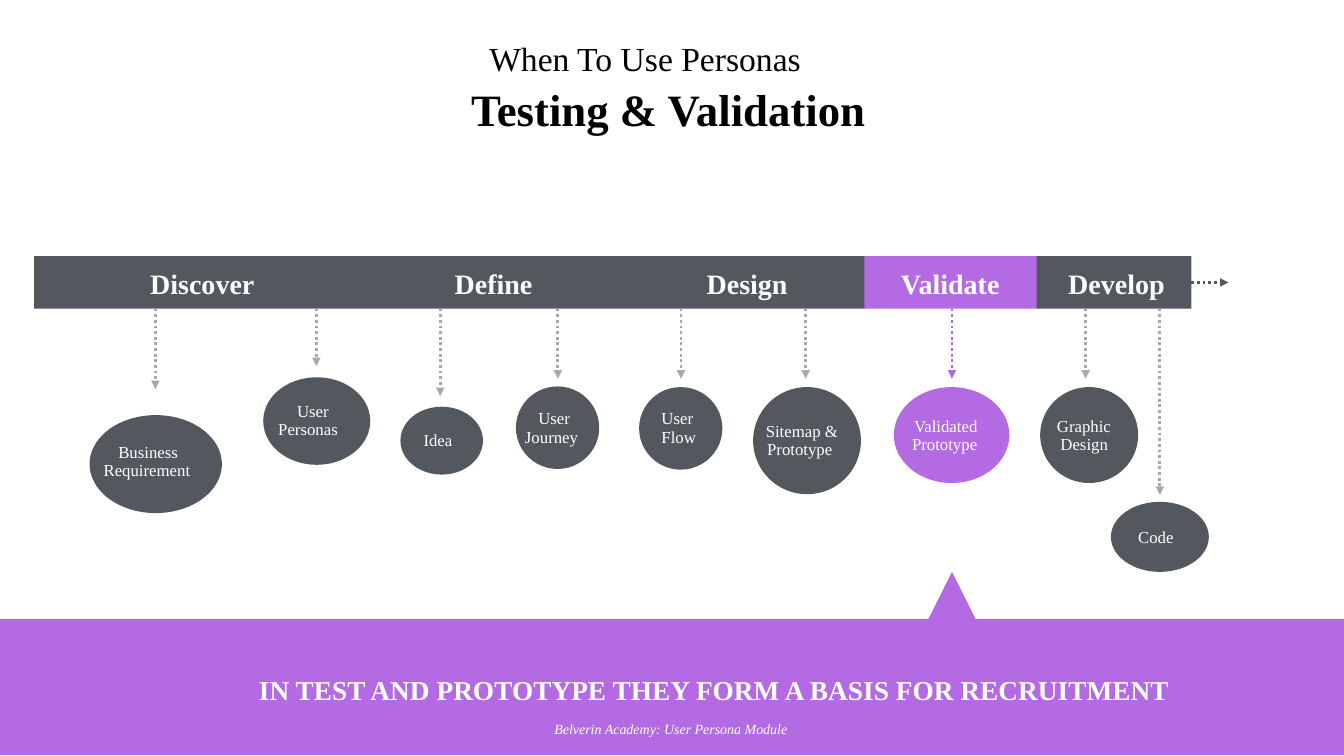
from pptx import Presentation
from pptx.dml.color import RGBColor
from pptx.enum.dml import MSO_LINE
from pptx.enum.shapes import MSO_CONNECTOR, MSO_SHAPE
from pptx.oxml.ns import qn
from pptx.util import Pt
from lxml import etree

SLATE, PURPLE, GREY = "53585F", "B36AE2", "A7AAA9"
WHITE, BLACK = "FFFFFF", "000000"
FONT = "Times New Roman"

BAR_TOP, BAR_H = 183, 37.5
STAGES = [
    ("Discover", 24.5, 230, SLATE, 107.25, 76),
    ("Define", 254, 191, SLATE, 324.75, 57),
    ("Design", 445, 173, SLATE, 504.75, 59),
    ("Validate", 617.5, 125, PURPLE, 643.5, 72),
    ("Develop", 740.5, 110.5, SLATE, 763, 71),
]

# lines (text, indent), oval (left, top, width, height), text (left, top, width), arrow (x, tip y)
STEPS = [
    ([("Business", 10.5), ("Requirement", 0)], (64, 296.5, 94.5, 70), (74, 316, 65), (111, 278)),
    ([("User", 13.5), ("Personas", 0)], (188, 269.5, 76.5, 62.5), (198.75, 286.5, 45), (226, 261.5)),
    ([("Idea", 0)], (286, 290.5, 59, 48.5), (302.5, 307.5, 23), (314.5, 283)),
    ([("User", 9.5), ("Journey", 0)], (368.5, 276, 59.5, 59), (375, 292, 40), (398.5, 270.5)),
    ([("User", 0), ("Flow", 0)], (456.5, 276.5, 59.5, 59), (472.5, 292, 27), (486.5, 270.5)),
    ([("Sitemap &", 0), ("Prototype", 1)], (538, 276.5, 77, 76.5), (547, 301, 55), (575.5, 270.5)),
    ([("Validated", 1.5), ("Prototype", 0)], (638.5, 276.5, 82.5, 68.5), (651.5, 297.5, 50), (680, 270.5)),
    ([("Graphic", 0), ("Design", 2.5)], (743, 276.5, 70, 68.5), (755, 297.5, 42), (775.5, 270.5)),
    ([("Code", 0)], (793.5, 358.5, 70, 50), (813, 376.5, 28), (828.5, 353.5)),
]
HIGHLIGHT = "Validated"

TITLE = [
    dict(text="When To Use Personas", size=24, spacing=29, color=BLACK, indent=13),
    dict(text="Testing & Validation", size=32, spacing=41, color=BLACK, bold=True),
]
FOOTER = [
    dict(text="IN TEST AND PROTOTYPE THEY FORM A BASIS FOR RECRUITMENT",
         size=19.5, spacing=23.5, bold=True),
    dict(text="Belverin Academy: User Persona Module",
         size=10, spacing=12.5, italic=True, indent=211, before=10),
]

prs = Presentation()
prs.slide_width, prs.slide_height = Pt(960), Pt(540)
s = prs.slides.add_slide(prs.slide_layouts[6])


def rgb(value):
    return RGBColor.from_string(value)


def add_block(kind, left, top, width, height, fill):
    sp = s.shapes.add_shape(kind, Pt(left), Pt(top), Pt(width), Pt(height))
    sp.shadow.inherit = False
    sp.fill.solid()
    sp.fill.fore_color.rgb = rgb(fill)
    sp.line.fill.background()
    return sp


def add_text(left, top, width, lines):
    height = sum(line["spacing"] + line.get("before", 0) for line in lines) + 3.6
    tf = s.shapes.add_textbox(Pt(left), Pt(top), Pt(width), Pt(height)).text_frame
    tf.margin_left = tf.margin_top = tf.margin_right = 0
    tf.margin_bottom = Pt(3.6)
    tf.word_wrap = True
    for i, line in enumerate(lines):
        p = tf.paragraphs[0] if i == 0 else tf.add_paragraph()
        p.text = line["text"]
        p.line_spacing = Pt(line["spacing"])
        if "before" in line:
            p.space_before = Pt(line["before"])
        if line.get("indent"):
            p._p.get_or_add_pPr().set("marL", str(Pt(line["indent"])))
        p.font.name, p.font.size = FONT, Pt(line["size"])
        p.font.bold = line.get("bold", False)
        p.font.italic = line.get("italic", False)
        p.font.color.rgb = rgb(line.get("color", WHITE))


def add_arrow(x1, y1, x2, y2, color):
    cx = s.shapes.add_connector(MSO_CONNECTOR.STRAIGHT, Pt(x1), Pt(y1), Pt(x2), Pt(y2))
    cx.line.color.rgb = rgb(color)
    cx.line.width = Pt(2)
    cx.line.dash_style = MSO_LINE.ROUND_DOT
    ln = cx.line._get_or_add_ln()
    etree.SubElement(ln, qn("a:tailEnd"), type="triangle", w="med", len="med")
    etree.SubElement(cx._element.spPr, qn("a:effectLst"))
    return cx


bars = {}
for name, left, width, fill, text_left, text_width in STAGES:
    bars[name] = add_block(MSO_SHAPE.RECTANGLE, left, BAR_TOP, width, BAR_H, fill)
    add_text(text_left, 190.25, text_width + 3,
             [dict(text=name, size=20, spacing=24, bold=True)])

bar_right = STAGES[-1][1] + STAGES[-1][2]
bar_middle = BAR_TOP + BAR_H / 2
onward = add_arrow(bar_right, bar_middle, 877.5, bar_middle, SLATE)
onward.begin_connect(bars["Develop"], 3)

for lines, oval, (left, top, width), (x, tip) in STEPS:
    chosen = lines[0][0] == HIGHLIGHT
    arrow = add_arrow(x, BAR_TOP + BAR_H, x, tip, PURPLE if chosen else GREY)
    if chosen:
        arrow.begin_connect(bars["Validate"], 2)
    add_block(MSO_SHAPE.OVAL, *oval, PURPLE if chosen else SLATE)
    add_text(left, top, width + 3,
             [dict(text=text, indent=indent, size=12, spacing=14 - i)
              for i, (text, indent) in enumerate(lines)])

add_block(MSO_SHAPE.RECTANGLE, 0, 442, 960, 97.5, PURPLE)
add_block(MSO_SHAPE.ISOSCELES_TRIANGLE, 655, 408.5, 50, 50, PURPLE)
add_text(336.5, 27, 288, TITLE)
add_text(185, 480.75, 664, FOOTER)

prs.save("out.pptx")
